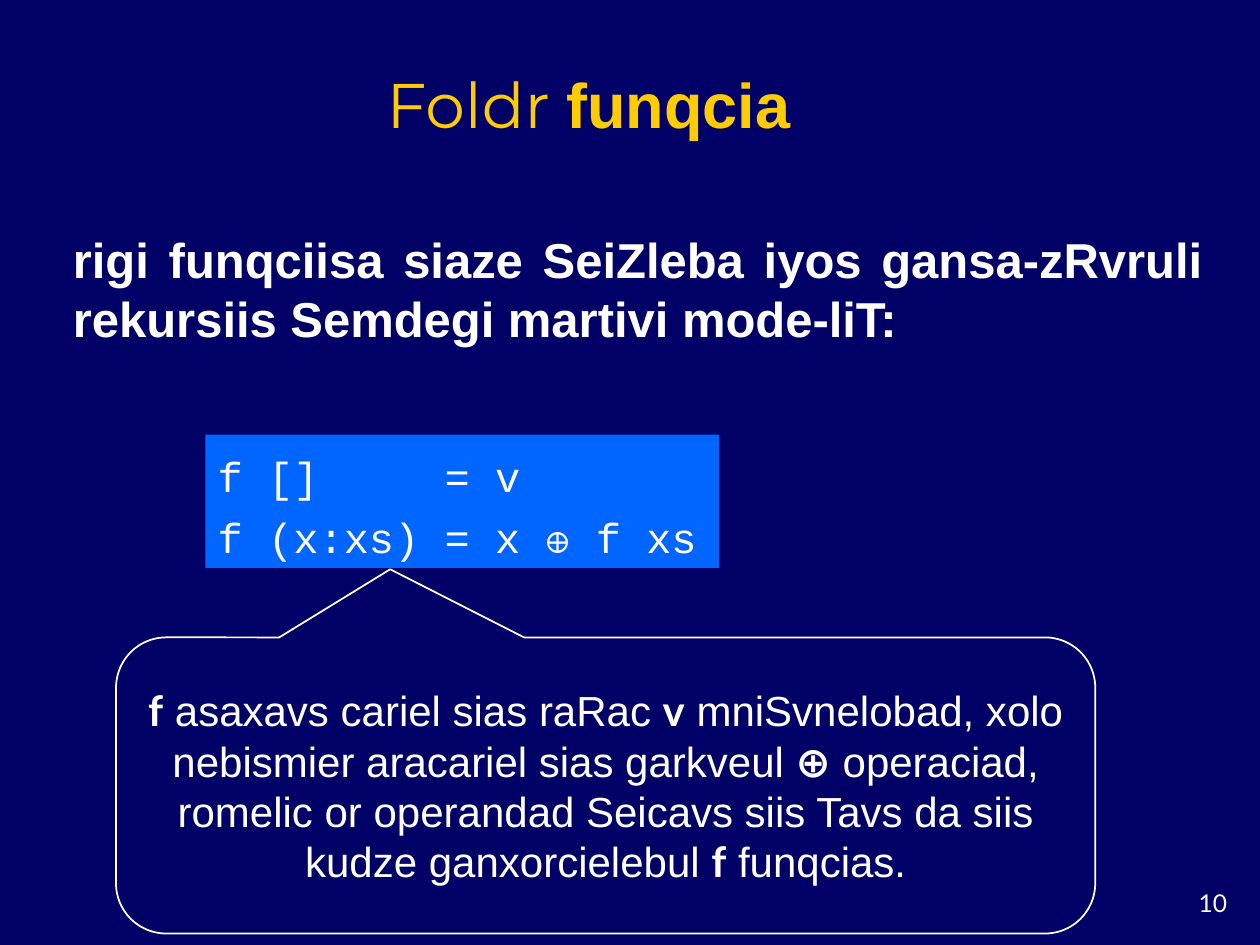
"""Build the slide that defines the foldr function by recursion."""
from dataclasses import dataclass

from pptx import Presentation
from pptx.dml.color import RGBColor
from pptx.enum.shapes import MSO_SHAPE
from pptx.enum.text import MSO_ANCHOR, MSO_AUTO_SIZE, PP_ALIGN
from pptx.util import Cm, Pt

RECT = MSO_SHAPE.RECTANGLE
CALLOUT = MSO_SHAPE.ROUNDED_RECTANGULAR_CALLOUT
LEFT, MID, RIGHT, BOTH = PP_ALIGN.LEFT, PP_ALIGN.CENTER, PP_ALIGN.RIGHT, PP_ALIGN.JUSTIFY
TOP, CENTRE, BOTTOM = MSO_ANCHOR.TOP, MSO_ANCHOR.MIDDLE, MSO_ANCHOR.BOTTOM
FIXED = MSO_AUTO_SIZE.NONE
NAVY, BLUE, GOLD, WHITE = "000066", "0066FF", "FFCC00", "FFFFFF"


@dataclass
class Piece:
    """A run of text in one font."""
    text: str
    font: str = "Arial"
    bold: bool = False


@dataclass
class Block:
    """The text of one shape and how it is set."""
    lines: list[list[Piece]]
    size: float
    align: PP_ALIGN
    anchor: MSO_ANCHOR = CENTRE
    color: str = WHITE
    lead: float = 1.2
    wrap: bool = True


def paint(target, color: str) -> None:
    """Give a fill, line or font a solid colour."""
    if hasattr(target, "solid"):
        target.solid()
        target.fore_color.rgb = RGBColor.from_string(color)
    else:
        target.color.rgb = RGBColor.from_string(color)


def write(shape, block: Block) -> None:
    """Set a block of text in a shape."""
    frame = shape.text_frame
    frame.auto_size = FIXED
    frame.word_wrap = block.wrap
    frame.vertical_anchor = block.anchor
    frame.text = "\n".join("" for _ in block.lines)
    for par, line in zip(frame.paragraphs, block.lines):
        par.alignment = block.align
        par.line_spacing = Pt(round(block.size * block.lead, 1))
        for piece in line:
            run = par.add_run()
            run.text = piece.text
            run.font.name = piece.font
            run.font.size = Pt(block.size)
            run.font.bold = piece.bold
            paint(run.font, block.color)


def place(shape, left: float, top: float, width: float, height: float) -> None:
    """Move and size a shape in centimetres."""
    shape.left, shape.top = Cm(left), Cm(top)
    shape.width, shape.height = Cm(width), Cm(height)


def add_box(slide, spot: tuple, block: Block) -> None:
    """Add a text box."""
    write(slide.shapes.add_textbox(*map(Cm, spot)), block)


def add_form(slide, kind: MSO_SHAPE, spot: tuple, block: Block):
    """Add a preset shape with no fill and no line."""
    form = slide.shapes.add_shape(kind, *map(Cm, spot))
    form.shadow.inherit = False
    form.fill.background()
    form.line.fill.background()
    write(form, block)
    return form


def mark(text: str) -> Piece:
    """Make a bold symbol for the callout."""
    return Piece(text, "Lato", True)


def main() -> None:
    """Draw and save the slide."""
    deck = Presentation()
    deck.slide_width, deck.slide_height = Cm(25.4), Cm(19.05)
    slide = deck.slides.add_slide(deck.slide_layouts[5])
    paint(slide.background.fill, NAVY)

    add_box(slide, (23.29, 17.78, 1.7, 0.84),
            Block([[Piece("10", "Lato")]], 14, RIGHT, TOP))

    title = slide.shapes.title
    place(title, 1.07, 1.07, 21.59, 1.9)
    write(title, Block([[Piece("Foldr ", "Montserrat"), Piece("funqcia", bold=True)]],
                       36, MID, BOTTOM, GOLD))

    claim = ("rigi funqciisa siaze SeiZleba iyos gansa-zRvruli "
             "rekursiis Semdegi martivi mode-liT:")
    add_box(slide, (1.22, 3.89, 23.27, 3.84),
            Block([[Piece(claim, bold=True)]], 28, BOTH))

    code = [[Piece(line, "Courier New")]
            for line in ("f []     = v", "f (x:xs) = x ⊕ f xs")]
    panel = add_form(slide, RECT, (4.14, 8.76, 10.36, 2.69),
                     Block(code, 24, LEFT, lead=1.44, wrap=False))
    paint(panel.fill, BLUE)

    note = [mark("f"), Piece(" asaxavs cariel sias raRac "), mark("v"),
            Piece(" mniSvnelobad, xolo nebismier aracariel sias garkveul "), mark("⊕"),
            Piece(" operaciad, romelic or operandad Seicavs siis Tavs da siis "
                  "kudze ganxorcielebul "), mark("f"), Piece(" funqcias.")]
    bubble = add_form(slide, CALLOUT, (2.34, 12.85, 19.74, 5.97), Block([note], 24, MID))
    for i, value in enumerate((-0.22, -0.73, 0.17)):
        bubble.adjustments[i] = value
    paint(bubble.line, WHITE)
    bubble.line.width = Pt(1)

    deck.save("out.pptx")


if __name__ == "__main__":
    main()
